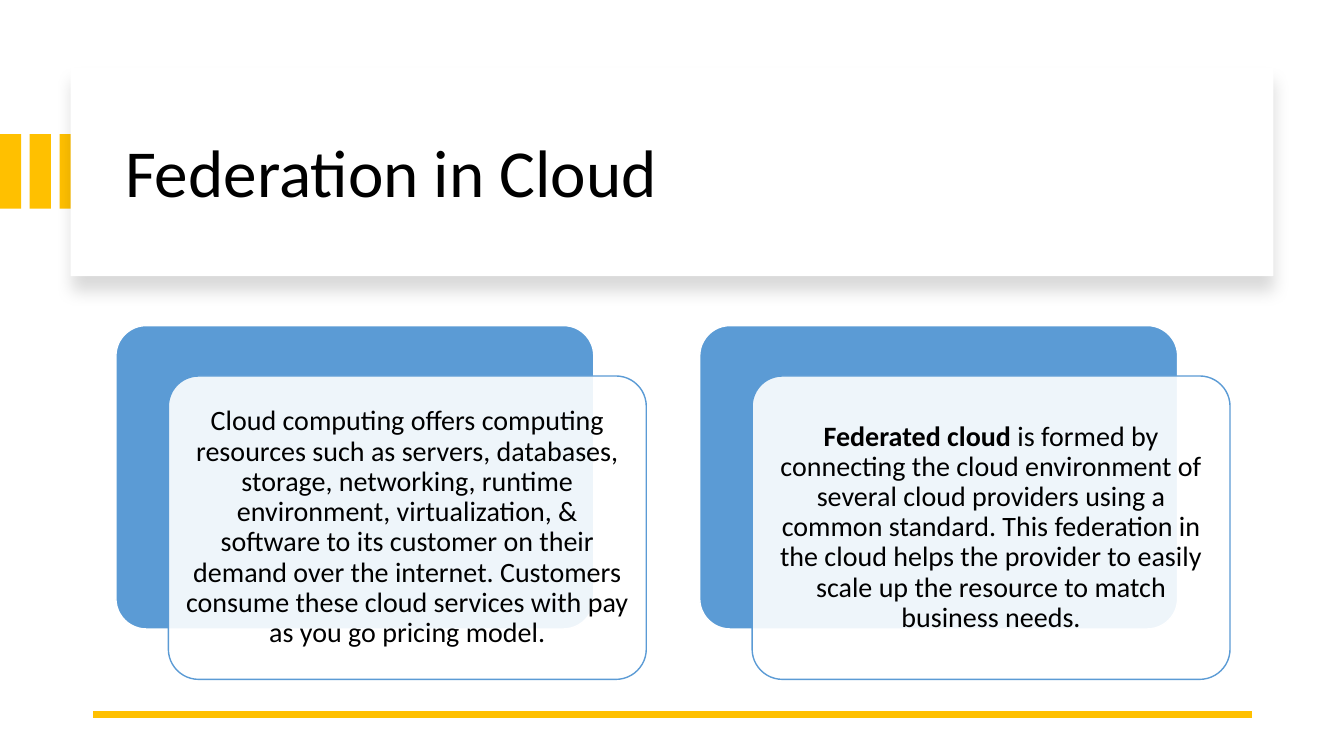
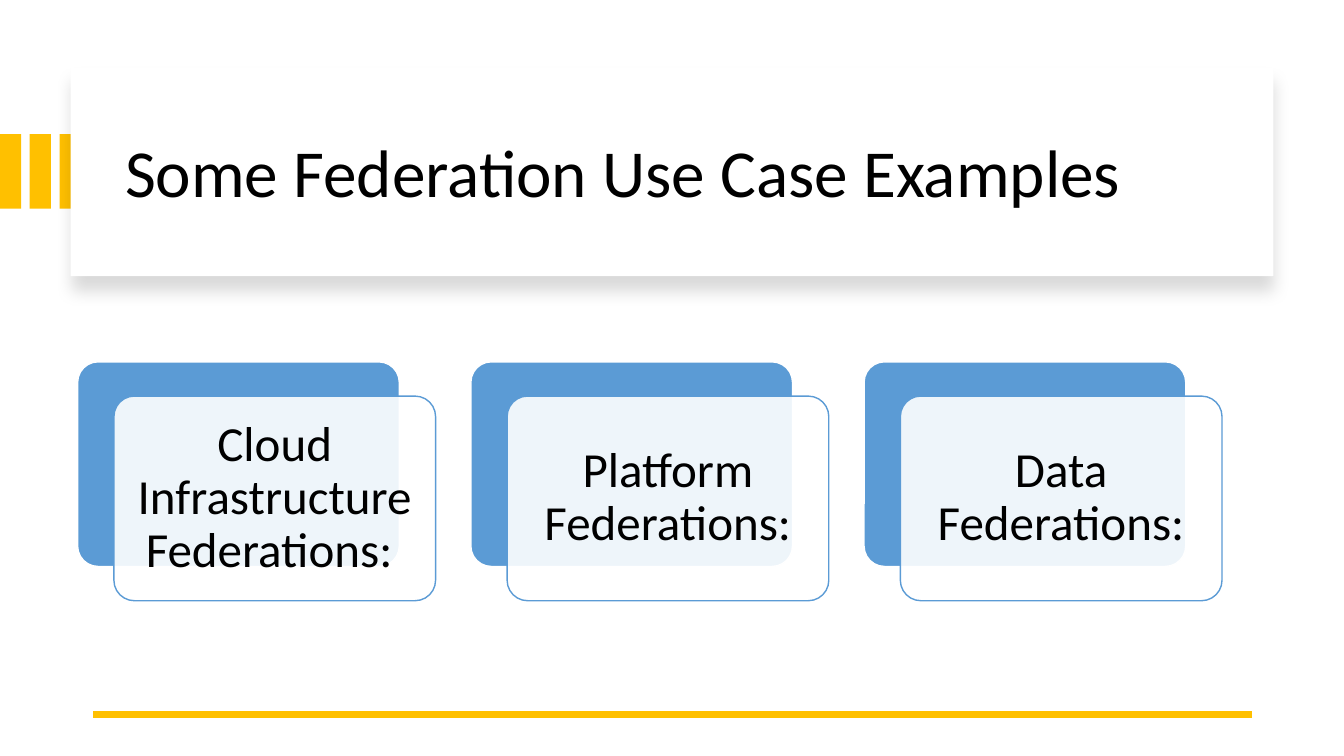
"""Build two slides about federation in the cloud."""
from lxml.etree import SubElement
from pptx import Presentation
from pptx.dml.color import RGBColor
from pptx.enum.shapes import MSO_CONNECTOR, MSO_SHAPE
from pptx.enum.text import MSO_ANCHOR, MSO_AUTO_SIZE, PP_ALIGN
from pptx.oxml import parse_xml
from pptx.oxml.ns import nsdecls, qn
from pptx.util import Inches, Pt

FONT = "Calibri"
WHITE = RGBColor(0xFF, 0xFF, 0xFF)
BLACK = RGBColor(0x00, 0x00, 0x00)
GOLD = RGBColor(0xFF, 0xC0, 0x00)
BLUE = RGBColor(0x5B, 0x9B, 0xD5)

OVERVIEW_CARDS = [
    [("Cloud computing offers computing resources such as servers, databases, "
      "storage, networking, runtime environment, virtualization, & software to "
      "its customer on their demand over the internet. Customers consume these "
      "cloud services with pay as you go pricing model.", False)],
    [("Federated cloud", True),
     ("\u00a0is formed by connecting the cloud environment of several cloud "
      "providers using a common standard. This federation in the cloud helps "
      "the provider to easily scale up the resource to match business needs.", False)],
]
USE_CASE_CARDS = [
    [("Cloud Infrastructure Federations: ", False)],
    [("Platform Federations:", False)],
    [("Data Federations:", False)],
]


def add_box(slide, preset, left, top, width, height, fill, line=None):
    """Add a filled shape without a shadow, outlined when a line colour is given."""
    shape = slide.shapes.add_shape(
        preset, Inches(left), Inches(top), Inches(width), Inches(height))
    shape.shadow.inherit = False
    shape.fill.solid()
    shape.fill.fore_color.rgb = fill
    if line is None:
        shape.line.fill.background()
    else:
        shape.line.color.rgb = line
        shape.line.width = Pt(1)
    return shape


def add_panel_shadow(panel):
    """Give the title panel a soft shadow below it."""
    properties = panel.element.spPr
    properties.remove(properties.find(qn("a:effectLst")))
    properties.append(parse_xml(
        f'<a:effectLst {nsdecls("a")}>'
        f'<a:outerShdw blurRad="{Pt(11)}" dist="{Pt(10)}" dir="5400000" '
        'algn="t" rotWithShape="0"><a:srgbClr val="000000">'
        '<a:alpha val="15000"/></a:srgbClr></a:outerShdw></a:effectLst>'))


def add_bottom_rule(slide):
    """Add the gold line along the bottom."""
    rule = slide.shapes.add_connector(
        MSO_CONNECTOR.STRAIGHT, Inches(12.42), Inches(7.09), Inches(0.92), Inches(7.09))
    rule.line.color.rgb = GOLD
    rule.line.width = Pt(4.5)
    SubElement(rule.element.spPr, qn("a:effectLst"))


def format_paragraph(paragraph, size, alignment):
    """Apply the shared text style to a paragraph."""
    paragraph.alignment = alignment
    paragraph.line_spacing = 0.9
    paragraph.font.name = FONT
    paragraph.font.size = Pt(size)
    paragraph.font.color.rgb = BLACK


def place_title(slide, text):
    """Position the title placeholder in front of the panel."""
    title = slide.shapes.title
    title.left, title.top = Inches(1.14), Inches(0.89)
    title.width, title.height = Inches(11.13), Inches(1.7)
    frame = title.text_frame
    frame.text = text
    frame.auto_size = MSO_AUTO_SIZE.NONE
    frame.vertical_anchor = MSO_ANCHOR.MIDDLE
    format_paragraph(frame.paragraphs[0], 48, PP_ALIGN.LEFT)
    slide.shapes.element.append(title.element)


def add_titled_slide(presentation, text):
    """Add a slide with the shared stripes, title panel and bottom rule."""
    slide = presentation.slides.add_slide(presentation.slide_layouts[5])
    for index in range(3):
        add_box(slide, MSO_SHAPE.RECTANGLE, index * 0.295, 1.33, 0.21, 0.74, GOLD)
    panel = add_box(slide, MSO_SHAPE.RECTANGLE, 0.7, 0.67, 11.93, 2.07, WHITE)
    add_panel_shadow(panel)
    place_title(slide, text)
    add_bottom_rule(slide)
    return slide


def add_rounded_card(slide, left, top, width, height, fill, line):
    """Add one rounded rectangle of a card pair."""
    card = add_box(slide, MSO_SHAPE.ROUNDED_RECTANGLE,
                   left, top, width, height, fill, line)
    card.adjustments[0] = 0.1
    return card


def fill_card_text(card, runs, size, inset):
    """Write centred runs of (text, bold) into a card."""
    frame = card.text_frame
    frame.word_wrap = True
    frame.vertical_anchor = MSO_ANCHOR.MIDDLE
    frame.margin_left = frame.margin_right = Inches(inset)
    frame.margin_top = frame.margin_bottom = Inches(inset)
    paragraph = frame.paragraphs[0]
    format_paragraph(paragraph, size, PP_ALIGN.CENTER)
    for text, bold in runs:
        run = paragraph.add_run()
        run.text = text
        run.font.bold = bold


def add_card_row(slide, cards, left, top, width, height, pitch, offset, size, inset):
    """Add a row of blue cards, each with a translucent text card in front."""
    shift_x, shift_y = offset
    for index, runs in enumerate(cards):
        x = left + index * pitch
        add_rounded_card(slide, x, top, width, height, BLUE, WHITE)
        front = add_rounded_card(
            slide, x + shift_x, top + shift_y, width, height, WHITE, BLUE)
        colour = front.element.spPr.find(qn("a:solidFill"))[0]
        SubElement(colour, qn("a:alpha")).set("val", "90000")
        fill_card_text(front, runs, size, inset)


def main():
    """Build and save the presentation."""
    presentation = Presentation()
    presentation.slide_width = Inches(13.33)
    presentation.slide_height = Inches(7.5)

    overview = add_titled_slide(presentation, "Federation in Cloud")
    add_card_row(overview, OVERVIEW_CARDS, left=1.15, top=3.23, width=4.74,
                 height=3.01, pitch=5.79, offset=(0.52, 0.5), size=20, inset=0.08)

    use_cases = add_titled_slide(presentation, "Some Federation Use Case Examples")
    add_card_row(use_cases, USE_CASE_CARDS, left=0.77, top=3.59, width=3.19,
                 height=2.03, pitch=3.9, offset=(0.36, 0.34), size=35, inset=0.15)

    presentation.save("out.pptx")


main()
